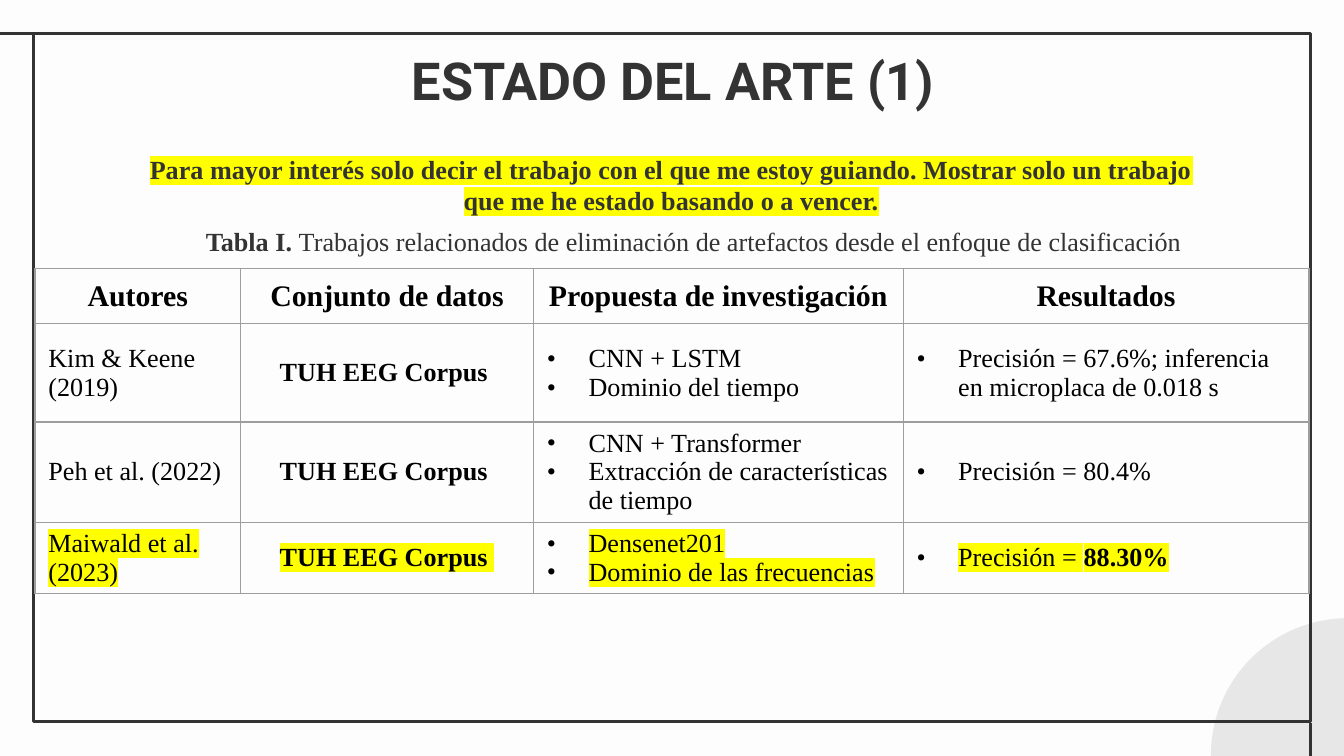
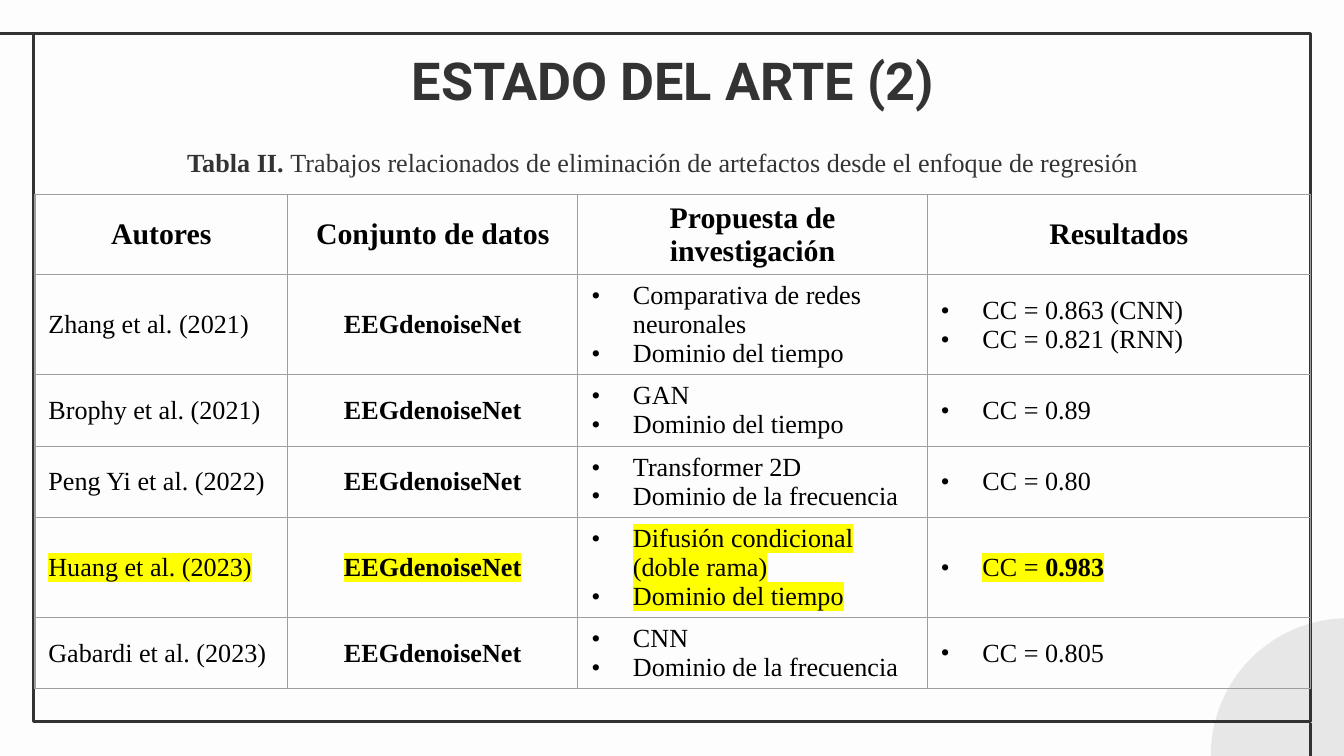
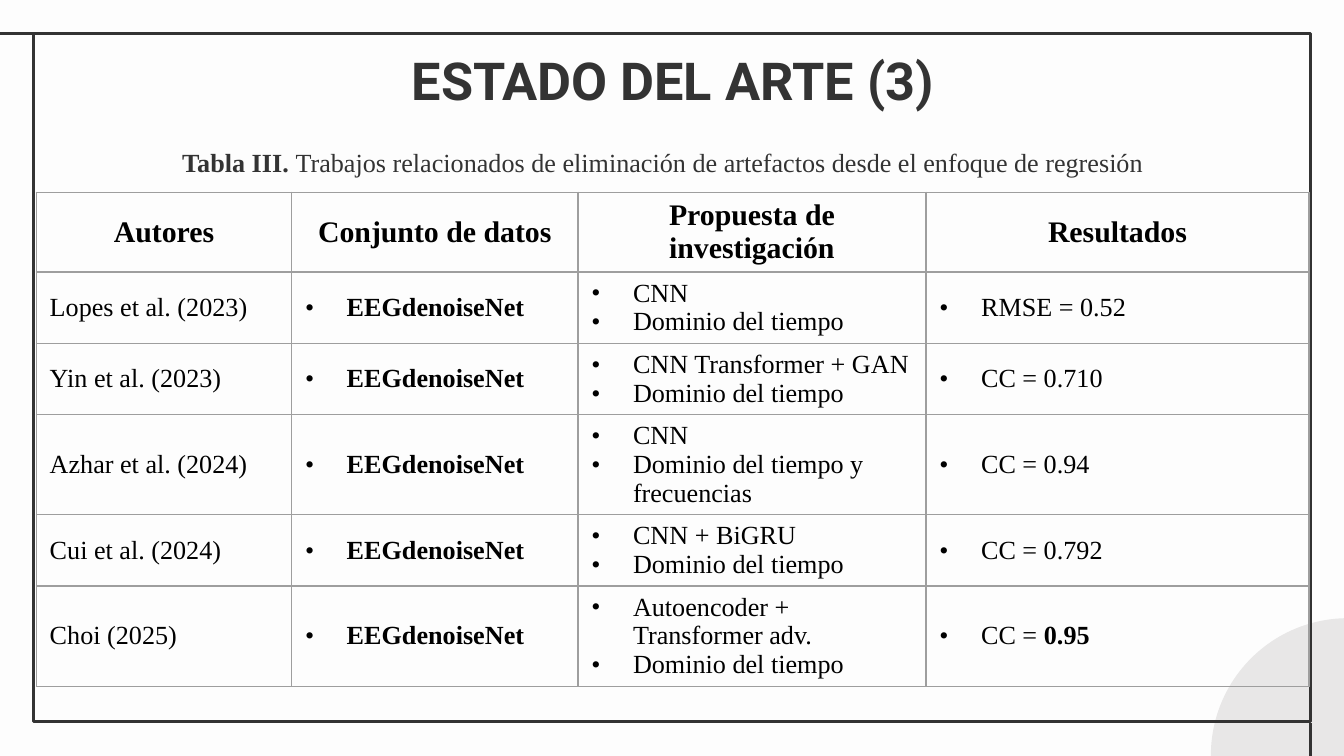
from dataclasses import dataclass

from lxml import etree
from pptx import Presentation
from pptx import util as u
from pptx.dml import color
from pptx.enum import shapes, text
from pptx.oxml import ns

COLORS = {
    "paper": "FDFDFD",
    "ink": "333333",
    "circle": "E8E7E7",
    "cell": "000000",
    "border": "9E9E9E",
    "marker": "FFFF00",
}
SERIF = "Times New Roman"
STYLES = {
    "title": {"size": u.Pt(28), "name": "Roboto", "bold": True},
    "header": {"size": u.Pt(16), "name": SERIF, "bold": True},
    "strong": {"size": u.Pt(14), "name": SERIF, "bold": True},
    "body": {"size": u.Pt(14), "name": SERIF, "bold": False},
}
HEADERS = ("Autores", "Conjunto de datos", "Propuesta de investigación", "Resultados")
TIME = "Dominio del tiempo"
FREQUENCY = "Dominio de la frecuencia"
INDENT = u.Inches(0.31)


@dataclass
class Span:
    words: str
    style: str = "body"


@dataclass
class Study:
    authors: str
    proposal: tuple[str, ...]
    results: tuple[str, ...]
    strong_value: str = ""
    marked: bool = False


@dataclass
class Page:
    number: int
    label: str
    approach: str
    caption_at: tuple[float, float]
    table_at: tuple[float, float]
    columns: tuple[float, ...]
    rows: tuple[float, ...]
    dataset: str
    studies: tuple[Study, ...]
    dataset_bullet: bool = False
    note: str = ""


PAGES = (
    Page(
        1, "Tabla I. ", "clasificación", (1.02, 1.63), (0.26, 2),
        (1.53, 2.18, 2.75, 3.02), (0.41, 0.73, 0.52, 0.52), "TUH EEG Corpus ",
        (
            Study("Kim & Keene (2019)", ("CNN + LSTM", TIME),
                  ("Precisión = 67.6%; inferencia en microplaca de 0.018 s",)),
            Study("Peh et al. (2022)",
                  ("CNN + Transformer", "Extracción de características de tiempo"),
                  ("Precisión = 80.4%",)),
            Study("Maiwald et al. (2023)", ("Densenet201", "Dominio de las frecuencias"),
                  ("Precisión = ",), "88.30%", True),
        ),
        note="Para mayor interés solo decir el trabajo con el que me estoy guiando. "
             "Mostrar solo un trabajo que me he estado basando o a vencer.",
    ),
    Page(
        2, "Tabla II. ", "regresión", (0.79, 1.04), (0.26, 1.45),
        (1.88, 2.16, 2.6, 2.85), (0.41, 0.73) + (0.52,) * 4, "EEGdenoiseNet",
        (
            Study("Zhang et al. (2021)", ("Comparativa de redes neuronales", TIME),
                  ("CC = 0.863 (CNN)", "CC = 0.821 (RNN)")),
            Study("Brophy et al. (2021)", ("GAN", TIME), ("CC = 0.89",)),
            Study("Peng Yi et al. (2022)", ("Transformer 2D", FREQUENCY), ("CC = 0.80",)),
            Study("Huang et al. (2023)", ("Difusión condicional (doble rama)", TIME),
                  ("CC = ",), "0.983", True),
            Study("Gabardi et al. (2023)", ("CNN", FREQUENCY), ("CC = 0.805",)),
        ),
    ),
    Page(
        3, "Tabla III. ", "regresión", (0.79, 1.04), (0.27, 1.43),
        (1.9, 2.13, 2.59, 2.85), (0.41,) + (0.52,) * 5, "EEGdenoiseNet",
        (
            Study("Lopes et al. (2023)", ("CNN", TIME), ("RMSE = 0.52",)),
            Study("Yin et al. (2023)", ("CNN Transformer + GAN", TIME), ("CC = 0.710",)),
            Study("Azhar et al. (2024)", ("CNN", "Dominio del tiempo y frecuencias"),
                  ("CC = 0.94",)),
            Study("Cui et al. (2024)", ("CNN + BiGRU", TIME), ("CC = 0.792",)),
            Study("Choi (2025)", ("Autoencoder + Transformer adv.", TIME), ("CC = ",), "0.95"),
        ),
        dataset_bullet=True,
    ),
)


def rgb(name: str) -> color.RGBColor:
    return color.RGBColor.from_string(COLORS[name])


def add_color(parent, tag: str, name: str):
    holder = etree.SubElement(parent, ns.qn(tag))
    etree.SubElement(holder, ns.qn("a:srgbClr"), val=COLORS[name])
    return holder


def add_bullet(para) -> None:
    props = para._p.get_or_add_pPr()
    props.set("marL", str(INDENT))
    props.set("indent", str(-INDENT))
    add_color(props, "a:buClr", "cell")
    etree.SubElement(props, ns.qn("a:buFont"), typeface=SERIF)
    etree.SubElement(props, ns.qn("a:buChar"), char="•")


def write(frame, lines: list[list[Span]], ink: str, centred: bool = False,
          bullet: bool = False, marked: bool = False) -> None:
    for index, spans in enumerate(lines):
        para = frame.add_paragraph() if index else frame.paragraphs[0]
        para.alignment = text.PP_ALIGN.CENTER if centred else text.PP_ALIGN.LEFT
        if bullet:
            add_bullet(para)
        for span in spans:
            run = para.add_run()
            run.text = span.words
            for key, value in STYLES[span.style].items():
                setattr(run.font, key, value)
            run.font.color.rgb = rgb(ink)
            if marked:
                props = run._r.get_or_add_rPr()
                highlight = add_color(props, "a:highlight", "marker")
                props.find(ns.qn("a:latin")).addprevious(highlight)


def add_decoration(slide) -> None:
    circle = slide.shapes.add_shape(
        shapes.MSO_SHAPE.OVAL, u.Inches(9.01), u.Inches(4.6), u.Inches(2.04), u.Inches(2.04))
    circle.fill.solid()
    circle.fill.fore_color.rgb = rgb("circle")
    circle.line.fill.background()
    frame = slide.shapes.add_shape(
        shapes.MSO_SHAPE.RECTANGLE, u.Inches(0.25), u.Inches(0.25), u.Inches(9.5), u.Inches(5.12))
    frame.fill.background()
    for shape in (circle, frame):
        shape.shadow.inherit = False
    outlines = [frame]
    for ends in ((0.26, 0.25, -0.02, 0.25), (9.75, 5.38, 9.75, 5.75)):
        rule = slide.shapes.add_connector(
            shapes.MSO_CONNECTOR.STRAIGHT, *(u.Inches(end) for end in ends))
        etree.SubElement(rule._element.spPr, ns.qn("a:effectLst"))
        outlines.append(rule)
    for outline in outlines:
        outline.line.color.rgb = rgb("ink")
        outline.line.width = u.Pt(1.5)


def add_title(slide, number: int) -> None:
    title = slide.shapes.title
    placement = {"left": 0.79, "top": 0.26, "width": 8.43, "height": 0.63}
    for key, value in placement.items():
        setattr(title, key, u.Inches(value))
    frame = title.text_frame
    frame.vertical_anchor = text.MSO_ANCHOR.TOP
    frame.auto_size = text.MSO_AUTO_SIZE.NONE
    for side in ("left", "top", "right", "bottom"):
        setattr(frame, f"margin_{side}", u.Inches(0.1))
    write(frame, [[Span(f"ESTADO DEL ARTE ({number})", "title")]], "ink", centred=True)


def add_text(slide, at: tuple[float, float], height: float, spans: list[Span],
             marked: bool = False) -> None:
    left, top = at
    box = slide.shapes.add_textbox(
        u.Inches(left), u.Inches(top), u.Inches(8.29), u.Inches(height))
    box.text_frame.word_wrap = True
    box.text_frame.auto_size = text.MSO_AUTO_SIZE.SHAPE_TO_FIT_TEXT
    write(box.text_frame, [spans], "ink", centred=True, marked=marked)


def format_cell(cell) -> None:
    cell.vertical_anchor = text.MSO_ANCHOR.MIDDLE
    cell.fill.background()
    props = cell._tc.get_or_add_tcPr()
    for index, tag in enumerate(("a:lnL", "a:lnR", "a:lnT", "a:lnB")):
        border = etree.Element(ns.qn(tag), w=str(u.Pt(0.75)))
        add_color(border, "a:solidFill", "border")
        props.insert(index, border)


def add_studies(slide, page: Page) -> None:
    left, top = page.table_at
    table = slide.shapes.add_table(
        len(page.rows), len(page.columns), u.Inches(left), u.Inches(top),
        u.Inches(sum(page.columns)), u.Inches(sum(page.rows))).table
    table.horz_banding = False
    for column, width in zip(table.columns, page.columns):
        column.width = u.Inches(width)
    for row, height in zip(table.rows, page.rows):
        row.height = u.Inches(height)
    for cell in table.iter_cells():
        format_cell(cell)
    for column, header in enumerate(HEADERS):
        write(table.cell(0, column).text_frame, [[Span(header, "header")]], "cell", centred=True)
    for row, study in enumerate(page.studies, 1):
        results = [[Span(result)] for result in study.results]
        if study.strong_value:
            results[-1].append(Span(study.strong_value, "strong"))
        contents = (
            ([[Span(study.authors)]], False, False),
            ([[Span(page.dataset, "strong")]], not page.dataset_bullet, page.dataset_bullet),
            ([[Span(item)] for item in study.proposal], False, True),
            (results, False, True),
        )
        for column, (lines, centred, bullet) in enumerate(contents):
            write(table.cell(row, column).text_frame, lines, "cell",
                  centred, bullet, study.marked)


def add_page(deck, page: Page) -> None:
    slide = deck.slides.add_slide(deck.slide_layouts[5])
    slide.background.fill.solid()
    slide.background.fill.fore_color.rgb = rgb("paper")
    add_decoration(slide)
    add_title(slide, page.number)
    add_studies(slide, page)
    if page.note:
        add_text(slide, (0.85, 1.09), 0.57, [Span(page.note, "strong")], marked=True)
    caption = ("Trabajos relacionados de eliminación de artefactos "
               f"desde el enfoque de {page.approach}")
    add_text(slide, page.caption_at, 0.34, [Span(page.label, "strong"), Span(caption)])


def main() -> None:
    deck = Presentation()
    deck.slide_width = u.Inches(10)
    deck.slide_height = u.Inches(10 * 9 / 16)
    for page in PAGES:
        add_page(deck, page)
    deck.save("out.pptx")


if __name__ == "__main__":
    main()
